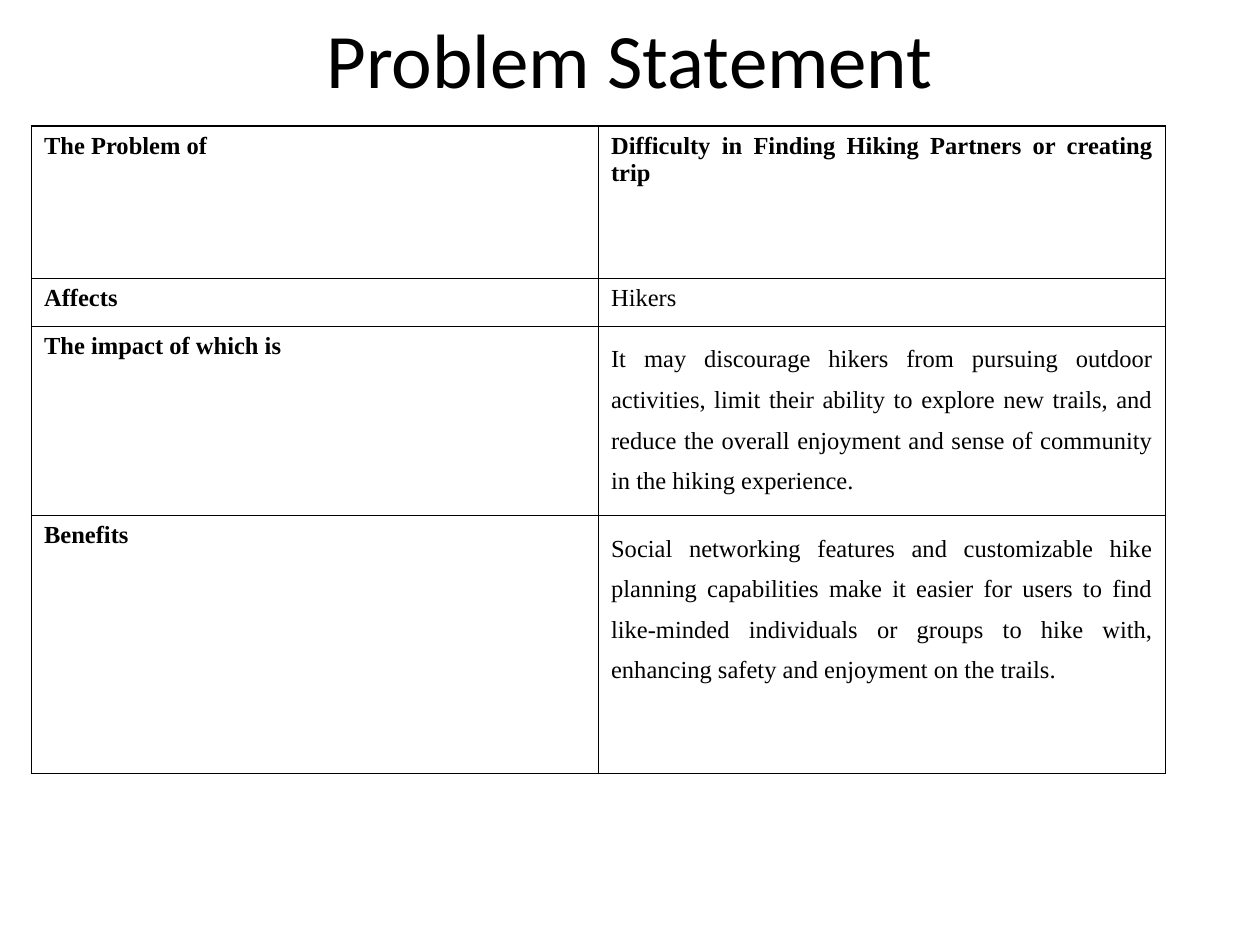
from lxml import etree
from pptx import Presentation
from pptx.dml.color import RGBColor
from pptx.enum.text import MSO_ANCHOR, PP_ALIGN
from pptx.oxml.ns import qn
from pptx.util import Inches, Pt

LEFT, CENTER, JUSTIFY = PP_ALIGN.LEFT, PP_ALIGN.CENTER, PP_ALIGN.JUSTIFY
MIDDLE = MSO_ANCHOR.MIDDLE
BLACK = "000000"

TITLE = "Problem Statement"
COLUMN_WIDTHS = [4.5, 4.5]
ROWS = [
    (1.21, "The Problem of",
     "Difficulty in Finding Hiking Partners or creating trip ",
     {"bold": True, "align": JUSTIFY}),
    (0.38, "Affects", "Hikers", {}),
    (1.49, "The impact of which is",
     "It may discourage hikers from pursuing outdoor activities, limit their "
     "ability to explore new trails, and reduce the overall enjoyment and sense "
     "of community in the hiking experience.",
     {"align": JUSTIFY, "spacing": 1.5}),
    (2.05, "Benefits",
     "Social networking features and customizable hike planning capabilities "
     "make it easier for users to find like-minded individuals or groups to "
     "hike with, enhancing safety and enjoyment on the trails.",
     {"align": JUSTIFY, "spacing": 1.5}),
]


def color(value):
    return RGBColor.from_string(value)


def write_text(frame, text, size=14, font="Times New Roman", bold=False,
               align=LEFT, spacing=None):
    frame.word_wrap = True
    paragraph = frame.paragraphs[0]
    paragraph.alignment = align
    if spacing:
        paragraph.line_spacing = spacing
    run = paragraph.add_run()
    run.text = text
    run.font.size = Pt(size)
    run.font.name = font
    run.font.bold = bold
    run.font.color.rgb = color(BLACK)


def add_borders(cell, width=1):
    properties = cell._tc.get_or_add_tcPr()
    for index, side in enumerate(("lnL", "lnR", "lnT", "lnB")):
        line = etree.Element(qn(f"a:{side}"), w=str(Pt(width)))
        fill = etree.SubElement(line, qn("a:solidFill"))
        etree.SubElement(fill, qn("a:srgbClr"), val=BLACK)
        properties.insert(index, line)


def add_title(slide):
    box = slide.shapes.add_textbox(Inches(0.5), 0, Inches(9), Inches(0.92))
    box.text_frame.vertical_anchor = MIDDLE
    write_text(box.text_frame, TITLE, size=44, font="Calibri", align=CENTER)


def add_problem_table(slide):
    height = sum(row[0] for row in ROWS)
    table = slide.shapes.add_table(
        len(ROWS), len(COLUMN_WIDTHS), Inches(0.25), Inches(1),
        Inches(sum(COLUMN_WIDTHS)), Inches(height)).table
    table.first_row = False
    table.horz_banding = False
    for column, width in zip(table.columns, COLUMN_WIDTHS):
        column.width = Inches(width)
    for row, (row_height, label, detail, style) in zip(table.rows, ROWS):
        row.height = Inches(row_height)
        contents = [(label, {"bold": True}), (detail, style)]
        for cell, (text, text_format) in zip(row.cells, contents):
            cell.fill.background()
            add_borders(cell)
            write_text(cell.text_frame, text, **text_format)


def main():
    presentation = Presentation()
    presentation.slide_width = Inches(10)
    presentation.slide_height = Inches(7.5)
    slide = presentation.slides.add_slide(presentation.slide_layouts[6])
    add_title(slide)
    add_problem_table(slide)
    presentation.save("out.pptx")


if __name__ == "__main__":
    main()
